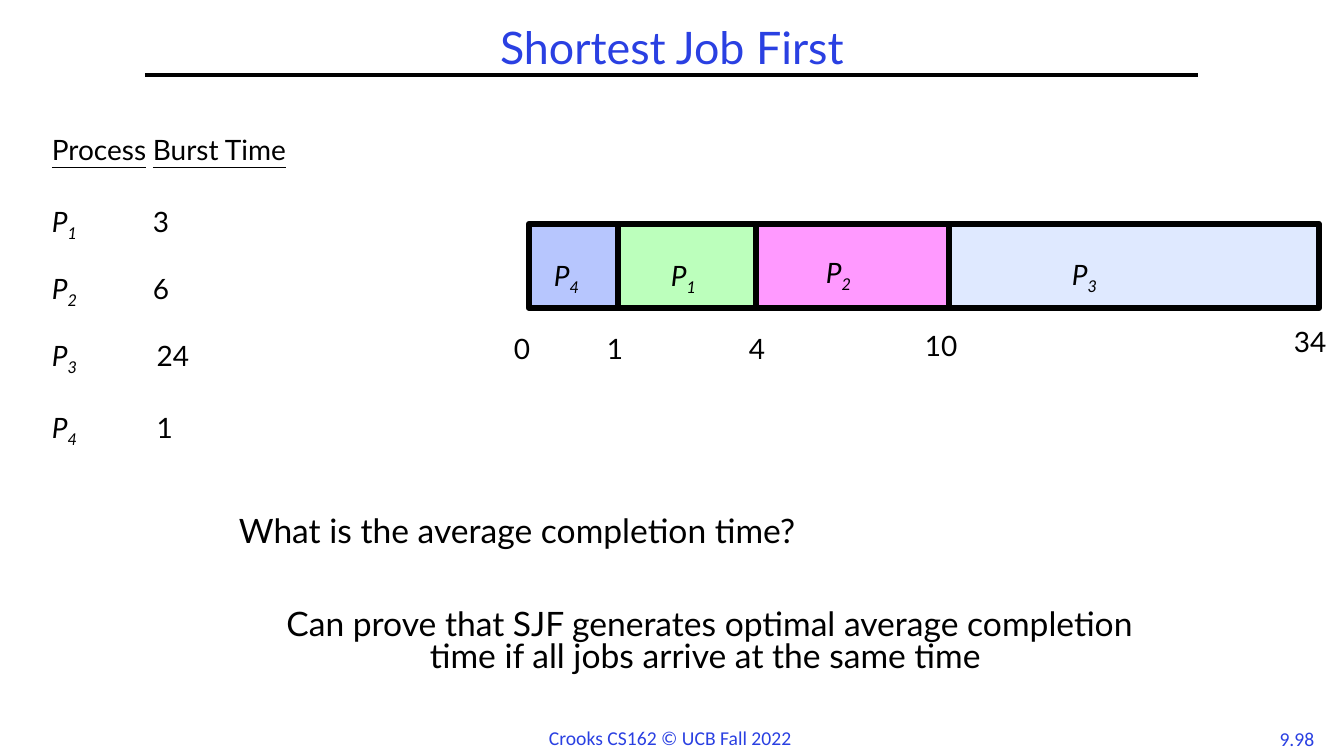
from lxml import etree
from pptx import Presentation
from pptx.dml.color import RGBColor
from pptx.enum.shapes import MSO_CONNECTOR, MSO_SHAPE
from pptx.enum.text import MSO_ANCHOR, PP_ALIGN
from pptx.oxml.ns import qn
from pptx.util import Emu, Pt

LEFT, CENTER = PP_ALIGN.LEFT, PP_ALIGN.CENTER
TOP, MIDDLE = MSO_ANCHOR.TOP, MSO_ANCHOR.MIDDLE
RECT, STRAIGHT = MSO_SHAPE.RECTANGLE, MSO_CONNECTOR.STRAIGHT
BLACK, BLUE = "000000", "2A40E2"

TITLE = "Shortest Job First"
QUESTION = "What is the average completion time?"
CLAIM = ("Can prove that SJF generates optimal average completion "
         "time if all jobs arrive at the same time ")
FOOTER, PAGE = "Crooks CS162 © UCB Fall 2022", "9.98"

# A run is (text, style): u underlined, i italic, s italic subscript
PROCESS_ROWS = [  # space before in points, runs
    (0, [("Process", "u"), ("\t", ""), ("Burst Time", "u")]),
    (30, [("P", "i"), ("1", "s"), ("\t3", "")]),
    (26, [("P", "i"), ("2", "s"), ("\t6", "")]),
    (26, [("P", "i"), ("3\t ", "s"), ("24", "")]),
    (30, [("P", "i"), ("4\t ", "s"), ("1", "")]),
]
BAR_TOP, BAR_HEIGHT = 224, 84
BAR_EDGES = [529, 618, 756, 949, 1319]
BARS = [  # process, fill, label left, label top
    ("4", "B7C6FE", 544, 257),
    ("1", "BCFFBC", 661, 257),
    ("2", "FF99FF", 816, 254),
    ("3", "DFE9FF", 1062, 256),
]
TIMES = [("0", 504, 333), ("1", 597, 333), ("4", 739, 333),
         ("10", 915, 330), ("34", 1284, 326)]


def px(n):
    return Emu(round(n * 914400 / 100.8))


def rgb(value):
    return RGBColor.from_string(value)


prs = Presentation()
prs.slide_width, prs.slide_height = px(1344), px(756)
slide = prs.slides.add_slide(prs.slide_layouts[6])


def add_text(rows, x, y, w, h, size=20, font="Lato", color=BLACK, align=LEFT,
             anchor=TOP, spacing=0.8, wrap=True, tab=None):
    """Add a text box; rows is a string or a list of (space before, runs)."""
    if isinstance(rows, str):
        rows = [(0, [(rows, "")])]
    tf = slide.shapes.add_textbox(px(x), px(y), px(w), px(h)).text_frame
    tf.word_wrap, tf.vertical_anchor = wrap, anchor
    for n, (before, runs) in enumerate(rows):
        p = tf.add_paragraph() if n else tf.paragraphs[0]
        p.alignment, p.line_spacing = align, spacing
        if before:
            p.space_before = Pt(before)
        if tab:
            tabs = etree.SubElement(p._p.get_or_add_pPr(), qn("a:tabLst"))
            etree.SubElement(tabs, qn("a:tab"), pos=str(px(tab)), algn="l")
        for text, style in runs:
            r = p.add_run()
            r.text = text
            r.font.name, r.font.size = font, Pt(size)
            r.font.color.rgb = rgb(color)
            if style == "u":
                r.font.underline = True
            if style in ("i", "s"):
                r.font.italic = True
            if style == "s":
                r.font._element.set("baseline", "-25000")


def add_rule(x1, x2, y):
    line = slide.shapes.add_connector(STRAIGHT, px(x1), px(y), px(x2), px(y))
    line.line.color.rgb, line.line.width = rgb(BLACK), Pt(3)
    etree.SubElement(line._element.spPr, qn("a:effectLst"))


def add_bar(x, w, fill):
    sp = slide.shapes.add_shape(RECT, px(x), px(BAR_TOP), px(w), px(BAR_HEIGHT))
    sp.shadow.inherit = False
    sp.fill.solid()
    sp.fill.fore_color.rgb = rgb(fill)
    sp.line.color.rgb, sp.line.width = rgb(BLACK), Pt(4.5)


add_rule(145, 1198, 75)
add_text(TITLE, 0, 25, 1344, 50, size=32, color=BLUE, align=CENTER,
         anchor=MIDDLE, spacing=0.9)
add_text(PROCESS_ROWS, 42, 134, 400, 310, tab=101)

for (process, fill, _, _), left, right in zip(BARS, BAR_EDGES, BAR_EDGES[1:]):
    add_bar(left, right - left, fill)
for process, _, x, y in BARS:
    add_text([(0, [("P", "i"), (process, "s")])], x, y, 58, 33)
for time, x, y in TIMES:
    add_text(time, x, y, 58, 33)

add_text(QUESTION, 229, 513, 915, 45, size=24)
add_text(CLAIM, 252, 606, 915, 80, size=24, align=CENTER)
footer = dict(size=14, font="Calibri", color=BLUE, spacing=1.0, wrap=False)
add_text(FOOTER, 539, 721, 265, 34, **footer)
add_text(PAGE, 1268, 722, 58, 33, align=CENTER, **footer)

prs.save("out.pptx")
